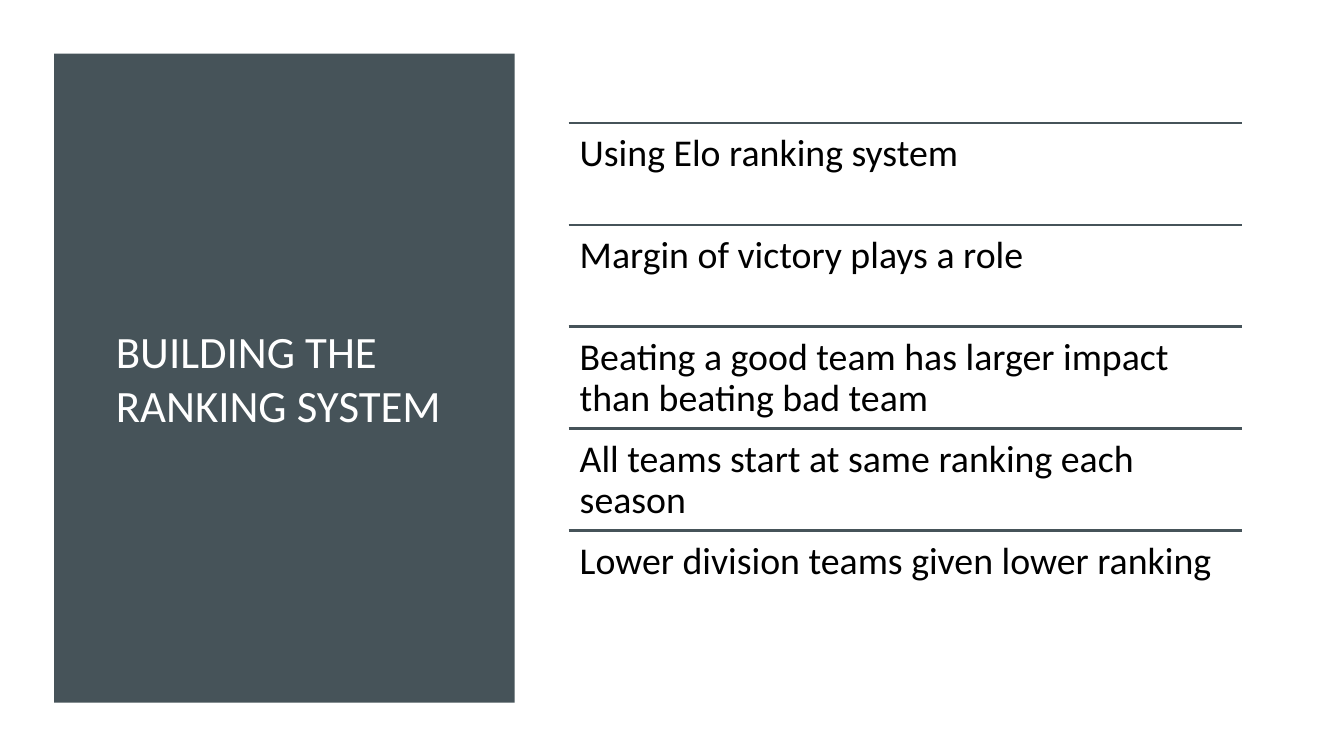
from dataclasses import dataclass

import pptx
import pptx.dml.color
import pptx.enum.shapes
import pptx.enum.text
import pptx.oxml
import pptx.oxml.ns
import pptx.presentation
import pptx.slide
import pptx.util

Pt = pptx.util.Pt
SLATE = pptx.dml.color.RGBColor(0x46, 0x53, 0x59)
WHITE = pptx.dml.color.RGBColor(0xFF, 0xFF, 0xFF)
BLACK = pptx.dml.color.RGBColor(0x00, 0x00, 0x00)
FONT = "Calibri"

RULES_LEFT = 406.1
RULES_TOP = 87.8
RULES_WIDTH = 481
RULE_HEIGHT = 72.8
RULE_INSET = 8


@dataclass(frozen=True)
class RankingRule:
    text: str
    top: float


RULE_TEXTS = (
    "Using Elo ranking system",
    "Margin of victory plays a role",
    "Beating a good team has larger impact than beating bad team",
    "All teams start at same ranking each season",
    "Lower division teams given lower ranking",
)
RANKING_RULES = [
    RankingRule(text, RULES_TOP + index * RULE_HEIGHT)
    for index, text in enumerate(RULE_TEXTS)
]


def add_run(
    paragraph, text: str, size: float, color: pptx.dml.color.RGBColor
) -> None:
    run = paragraph.add_run()
    run.text = text
    run.font.name = FONT
    run.font.size = Pt(size)
    run.font.color.rgb = color


def add_panel(slide: pptx.slide.Slide) -> None:
    panel = slide.shapes.add_shape(
        pptx.enum.shapes.MSO_SHAPE.RECTANGLE,
        Pt(38.6), Pt(38.3), Pt(329), Pt(463.7),
    )
    panel.shadow.inherit = False
    panel.fill.solid()
    panel.fill.fore_color.rgb = SLATE
    panel.line.fill.background()


def add_heading(slide: pptx.slide.Slide) -> None:
    """Fill the title placeholder and bring it in front of the panel."""
    heading = slide.shapes.title
    heading.element.getparent().append(heading.element)
    heading.left, heading.top = Pt(75.6), Pt(87.8)
    heading.width, heading.height = Pt(257.8), Pt(364.3)
    frame = heading.text_frame
    frame.word_wrap = True
    frame.auto_size = pptx.enum.text.MSO_AUTO_SIZE.NONE
    frame.vertical_anchor = pptx.enum.text.MSO_ANCHOR.MIDDLE
    paragraph = frame.paragraphs[0]
    paragraph.alignment = pptx.enum.text.PP_ALIGN.LEFT
    add_run(paragraph, "BUILDING THE RANKING SYSTEM", 32, WHITE)


def add_ranking_rule(slide: pptx.slide.Slide, rule: RankingRule) -> None:
    """Draw a separator with the rule's wording below it."""
    separator = slide.shapes.add_connector(
        pptx.enum.shapes.MSO_CONNECTOR.STRAIGHT,
        Pt(RULES_LEFT), Pt(rule.top),
        Pt(RULES_LEFT + RULES_WIDTH), Pt(rule.top),
    )
    separator.line.color.rgb = SLATE
    separator.line.width = Pt(1.75)
    properties = separator.element.find(pptx.oxml.ns.qn("p:spPr"))
    properties.append(pptx.oxml.parse_xml(
        f"<a:effectLst {pptx.oxml.ns.nsdecls('a')}/>"
    ))

    wording = slide.shapes.add_textbox(
        Pt(RULES_LEFT), Pt(rule.top), Pt(RULES_WIDTH), Pt(RULE_HEIGHT)
    )
    frame = wording.text_frame
    frame.word_wrap = True
    frame.margin_left = frame.margin_right = Pt(RULE_INSET)
    frame.margin_top = frame.margin_bottom = Pt(RULE_INSET)
    paragraph = frame.paragraphs[0]
    paragraph.line_spacing = 0.9
    add_run(paragraph, rule.text, 27, BLACK)


def build() -> pptx.presentation.Presentation:
    deck = pptx.Presentation()
    deck.slide_width, deck.slide_height = Pt(960), Pt(540)
    slide = deck.slides.add_slide(deck.slide_layouts.get_by_name("Title Only"))
    slide.background.fill.solid()
    slide.background.fill.fore_color.rgb = WHITE
    add_panel(slide)
    add_heading(slide)
    for rule in RANKING_RULES:
        add_ranking_rule(slide, rule)
    return deck


if __name__ == "__main__":
    build().save("out.pptx")
